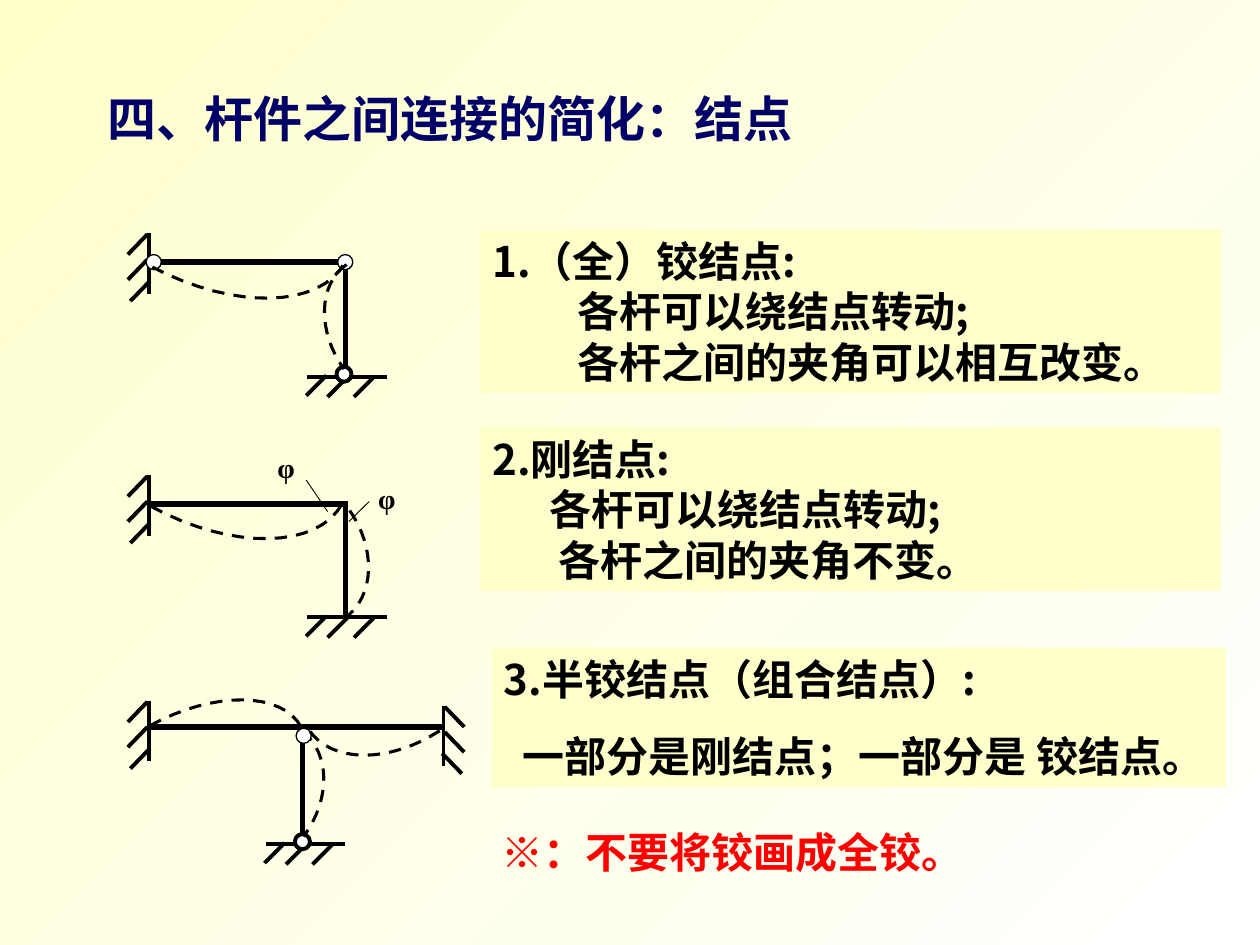
from lxml.etree import SubElement
from pptx import Presentation
from pptx.dml.color import RGBColor
from pptx.enum.dml import MSO_LINE
from pptx.enum.shapes import MSO_CONNECTOR, MSO_SHAPE
from pptx.enum.text import MSO_ANCHOR, MSO_AUTO_SIZE, PP_ALIGN
from pptx.oxml.ns import qn
from pptx.util import Inches, Pt

COLORS = {"ink": "000000", "navy": "000066", "red": "FF0000",
          "cream": "FFFFCC", "white": "FFFFFF"}
SANS, SERIF = "Noto Sans CJK SC", "Times New Roman"
WIDE, HIGH = Inches(10), Inches(7.5)
COLS, ROWS = 100, 75
SPACE = 0.75
STEPS = 16
PIN = 1.2


def col(n):
    return round(WIDE * n / COLS)


def row(n):
    return round(HIGH * n / ROWS)


def tone(name):
    return RGBColor.from_string(COLORS[name])


def box(left, top, width, height):
    return col(left), row(top), col(width), row(height)


def style(frame, size, face, color):
    for para in frame.paragraphs:
        for run in para.runs:
            font = run.font
            font.size, font.bold, font.name = Pt(size), True, face
            font.color.rgb = tone(color)
            SubElement(run._r.get_or_add_rPr(), qn("a:ea"), typeface=SANS)


def head(slide, text):
    title = slide.shapes.title
    title.left, title.top, title.width, title.height = box(7.5, 6.5, 59.9, 5.7)
    frame = title.text_frame
    frame.text = text
    frame.auto_size = MSO_AUTO_SIZE.NONE
    frame.vertical_anchor = MSO_ANCHOR.TOP
    frame.paragraphs[0].alignment = PP_ALIGN.LEFT
    style(frame, 28, SERIF, "navy")


def note(slide, place, lines, color="ink", fill=None, gap=0):
    shape = slide.shapes.add_textbox(*box(*place))
    if fill:
        shape.fill.solid()
        shape.fill.fore_color.rgb = tone(fill)
    frame = shape.text_frame
    frame.word_wrap = True
    frame.text = "\n".join(text for _, text in lines)
    for index, (indent, _) in enumerate(lines):
        para = frame.paragraphs[index]
        para._p.get_or_add_pPr().set("marL", str(col(indent * SPACE)))
        if index:
            para.space_before = Pt(gap)
    style(frame, 24, SANS, color)


def mark(group, left, top):
    frame = group.shapes.add_textbox(*box(left, top, 3.4, 3.7)).text_frame
    frame.word_wrap = False
    frame.text = "φ"
    frame.paragraphs[0].alignment = PP_ALIGN.CENTER
    style(frame, 16, SERIF, "ink")


def bar(group, start, end, weight=3):
    line = group.shapes.add_connector(
        MSO_CONNECTOR.STRAIGHT, col(start[0]), row(start[1]),
        col(end[0]), row(end[1]))
    line.line.color.rgb = tone("ink")
    line.line.width = Pt(weight)
    SubElement(line._element.spPr, qn("a:effectLst"))


def wall(group, x, y, side=-1):
    bar(group, (x, y), (x, y + 4.8), 2.25)
    for shift, drop in ((0.1, 0.1), (0.1, 2.1), (-0.1, 3.8)):
        near = x + side * shift
        bar(group, (near, y + drop), (near + side * 1.55, y + drop + 1.6), 2.25)


def ground(group, x, y):
    bar(group, (x, y), (x + 6.3, y), 2.25)
    for shift, drop in ((5.3, 0), (3.2, 0), (1.5, -0.1)):
        bar(group, (x + shift, y + drop), (x + shift - 1.6, y + drop + 1.6), 2.25)


def pin(group, x, y, weight=0.75):
    dot = group.shapes.add_shape(
        MSO_SHAPE.OVAL, *box(x - PIN / 2, y - PIN / 2, PIN, PIN))
    dot.shadow.inherit = False
    dot.fill.solid()
    dot.fill.fore_color.rgb = tone("white")
    dot.line.color.rgb = tone("ink")
    dot.line.width = Pt(weight)


def blend(t, a, b, c, d):
    u = 1 - t
    return u**3 * a + 3 * u * u * t * b + 3 * u * t * t * c + t**3 * d


def curve(group, *points):
    xs, ys = zip(*points)
    track = [(col(blend(i / STEPS, *xs)), row(blend(i / STEPS, *ys)))
             for i in range(STEPS + 1)]
    pen = group.shapes.build_freeform(*track[0])
    pen.add_line_segments(track[1:], close=False)
    arc = pen.convert_to_shape()
    arc.shadow.inherit = False
    arc.fill.background()
    arc.line.color.rgb = tone("ink")
    arc.line.width = Pt(1.75)
    arc.line.dash_style = MSO_LINE.DASH


def hinged(group):
    bar(group, (11.8, 20.8), (27, 20.8))
    bar(group, (27.4, 20.6), (27.4, 29.8))
    ground(group, 24.4, 29.9)
    pin(group, 27.3, 29.7, 2.25)
    wall(group, 11.8, 18.5)
    pin(group, 12.2, 20.8)
    pin(group, 27.4, 20.8)
    curve(group, (12.1, 21.2), (18.6, 24.6), (25.4, 24.5), (27.4, 20.8))
    curve(group, (27.5, 21), (25.2, 22.6), (25.2, 26.4), (27.3, 29.3))


def rigid(group):
    bar(group, (11.8, 40), (27.4, 40))
    bar(group, (27.4, 39.8), (27.4, 48.9))
    ground(group, 24.4, 49)
    wall(group, 11.8, 37.7)
    curve(group, (12, 40.2), (18.4, 43.7), (25.3, 43.6), (27.2, 39.9))
    curve(group, (27.3, 49.1), (29.8, 47.4), (29.9, 43.4), (27.6, 40.3))
    bar(group, (27.7, 41.4), (29.3, 39.8), 0.5)
    bar(group, (26, 40.6), (24.3, 38.1), 0.5)
    mark(group, 21, 35.3)
    mark(group, 29, 37.7)


def mixed(group):
    bar(group, (11.8, 57.7), (35.2, 57.7))
    bar(group, (24, 57.7), (24, 66.9))
    ground(group, 21.1, 67)
    pin(group, 24, 66.8, 2.25)
    wall(group, 11.8, 55.6)
    wall(group, 35.2, 56, 1)
    curve(group, (24, 58.1), (26.2, 59.7), (26.3, 63.4), (24.1, 66.4))
    pin(group, 24.1, 58.4)
    curve(group, (11.9, 57.6), (17, 54.8), (22.4, 54.9), (23.9, 57.7))
    curve(group, (34.9, 58), (30.9, 60.6), (26.3, 60.6), (24.5, 57.9))


def shade(slide):
    fill = slide.background.fill
    fill.gradient()
    fill.gradient_angle = 135
    for stop, name in zip(fill.gradient_stops, ("white", "cream")):
        stop.color.rgb = tone(name)


def main():
    deck = Presentation()
    deck.slide_width, deck.slide_height = WIDE, HIGH
    slide = deck.slides.add_slide(deck.slide_layouts[5])
    shade(slide)
    head(slide, "四、杆件之间连接的简化：结点")
    note(slide, (38.1, 18.2, 58.8, 13),
         [(0, "1.（全）铰结点:"), (9, "各杆可以绕结点转动;"),
          (9, "各杆之间的夹角可以相互改变。")], fill="cream")
    note(slide, (38.1, 33.9, 58.8, 13),
         [(0, "2.刚结点:"), (6, "各杆可以绕结点转动;"),
          (7, "各杆之间的夹角不变。")], fill="cream")
    note(slide, (39, 51.4, 58.3, 11.1),
         [(0, "3.半铰结点（组合结点）:"),
          (2, "一部分是刚结点；一部分是 铰结点。")], fill="cream", gap=15)
    note(slide, (35.8, 65.1, 49.2, 5), [(4, "※：不要将铰画成全铰。")], "red")
    for draw in (hinged, rigid, mixed):
        draw(slide.shapes.add_group_shape())
    deck.save("out.pptx")


if __name__ == "__main__":
    main()
